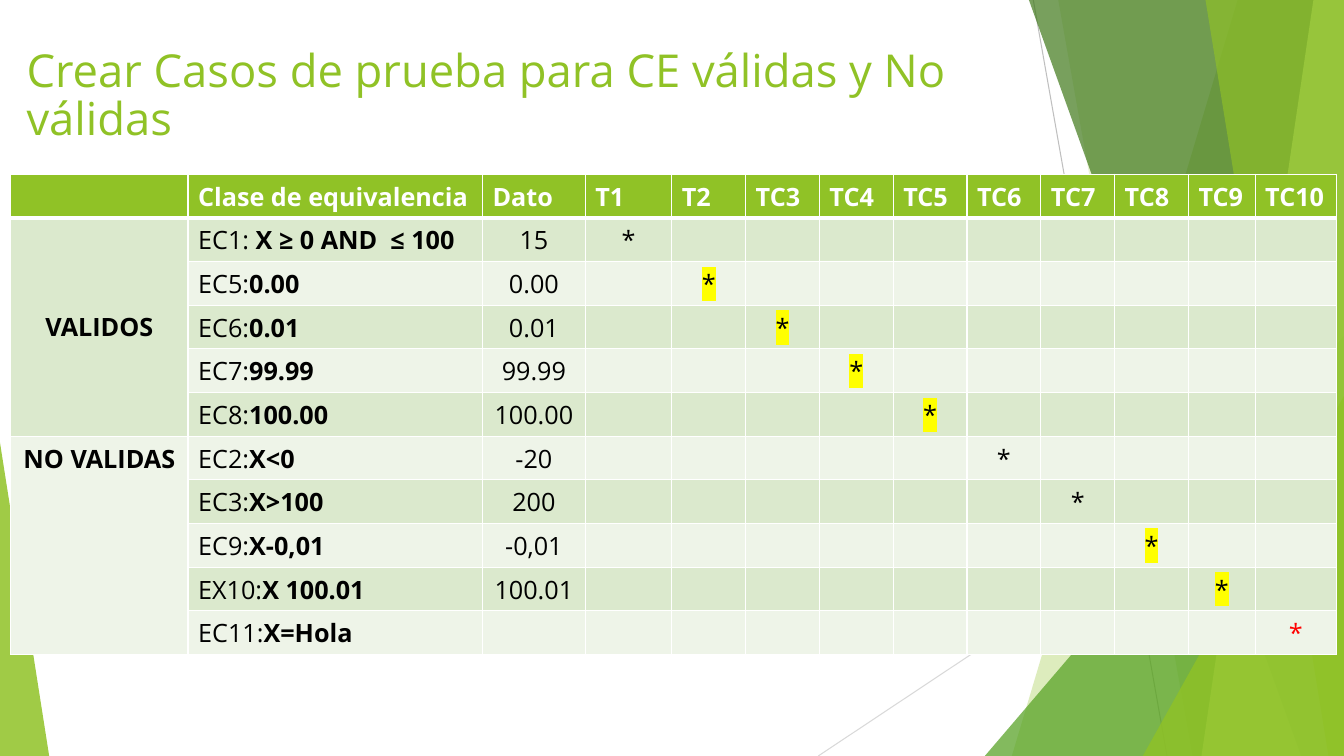
"""Build the slide that maps equivalence classes to test cases."""
from lxml import etree
from pptx import Presentation
from pptx.dml.color import RGBColor
from pptx.enum.shapes import MSO_CONNECTOR as CONN, MSO_SHAPE as SHAPE
from pptx.enum.text import MSO_ANCHOR as ANCHOR, PP_ALIGN as ALIGN
from pptx.oxml.ns import qn
from pptx.util import Cm, Pt

TITLE = "Crear Casos de prueba para CE válidas y No válidas"
HEADERS = ["", "Clase de equivalencia", "Dato", "T1", "T2", "TC3", "TC4",
           "TC5", "TC6", "TC7", "TC8", "TC9", "TC10"]
GROUPS = [("VALIDOS", 5, ANCHOR.MIDDLE), ("NO VALIDAS", 5, ANCHOR.TOP)]
CASES = [
    ("EC1: ", "X ≥ 0 AND  ≤ 100", "15", "plain"),
    ("EC5:", "0.00", "0.00", "marked"),
    ("EC6:", "0.01", "0.01", "marked"),
    ("EC7:", "99.99", "99.99", "marked"),
    ("EC8:", "100.00", "100.00", "marked"),
    ("EC2:", "X<0", "-20", "plain"),
    ("EC3:", "X>100", "200", "plain"),
    ("EC9:", "X-0,01", "-0,01", "marked"),
    ("EX10:", "X 100.01", "100.01", "marked"),
    ("EC11:", "X=Hola", "", "alert"),
]
THEME = dict(font="Open Sans", title=32.4, body=18, green="90C226", white="FFFFFF",
             black="000000", bands=("DBE9CD", "EEF4E8"), highlight="FFFF00",
             alert="FF0000", leaf="54A021", forest="3F7819", lime="C0E474",
             line_dark="BFBFBF", line_light="D9D9D9")
W, H = 33.87, 19.05
COLS = [4.47, 7.42, 2.59, 2.18] + [1.86] * 7 + [1.68, 2.05]
ROW_H = 1.1
LINES = [((26.04, 0), (29.41, H), "line_dark"), ((W, 10.24), (20.62, H), "line_light")]
FACETS = [
    ("poly", [(31.19, 0), (W, 0), (W, H), (25.5, H)], "green", 30),
    ("poly", [(26.67, 0), (W, 0), (W, H), (30.05, H)], "green", 20),
    ("tri", (24.82, 8.46, 9.05, 10.59, 1), "leaf", 72),
    ("poly", [(25.93, 0), (W, 0), (W, H), (32.79, H)], "forest", 70),
    ("poly", [(33.1, 0), (W, 0), (W, H), (30.28, H)], "lime", 70),
    ("poly", [(30.38, 0), (W, 0), (W, H), (33.48, H)], "green", 65),
    ("tri", (28.8, 9.98, 5.07, 9.07, 1), "green", 80),
    ("tri", (0, 11.15, 1.24, 7.9, 0), "green", 85),
]


def rgb(name):
    return RGBColor.from_string(THEME.get(name, name))


def add_run(p, text, size="body", color="black", bold=False, highlight=False):
    r = p.add_run()
    r.text = text
    fmt = dict(size=Pt(THEME[size]), bold=bold, name=THEME["font"])
    for key, value in fmt.items():
        setattr(r.font, key, value)
    r.font.color.rgb = rgb(color)
    if highlight:
        mark = etree.Element(qn("a:highlight"))
        etree.SubElement(mark, qn("a:srgbClr"), val=THEME["highlight"])
        r.font._element.find(qn("a:solidFill")).addnext(mark)


def add_facet(shapes, kind, geometry, color, alpha):
    if kind == "poly":
        points = [(Cm(x), Cm(y)) for x, y in geometry]
        builder = shapes.build_freeform(*points[0])
        builder.add_line_segments(points[1:], close=True)
        sp = builder.convert_to_shape()
    else:
        *box, apex = geometry
        sp = shapes.add_shape(SHAPE.ISOSCELES_TRIANGLE, *map(Cm, box))
        sp.adjustments[0] = apex
    sp.shadow.inherit = False
    sp.line.fill.background()
    sp.fill.solid()
    sp.fill.fore_color.rgb = rgb(color)
    clr = sp._element.spPr.find(qn("a:solidFill")).find(qn("a:srgbClr"))
    etree.SubElement(clr, qn("a:alpha"), val=str(alpha * 1000))


def style_cell(cell, fill, bottom=1):
    tcPr = cell._tc.get_or_add_tcPr()
    for side, width in dict(lnL=1, lnR=1, lnT=1, lnB=bottom).items():
        ln = etree.SubElement(tcPr, qn(f"a:{side}"), w=str(Pt(width)))
        solid = etree.SubElement(ln, qn("a:solidFill"))
        etree.SubElement(solid, qn("a:srgbClr"), val=THEME["white"])
    cell.fill.solid()
    cell.fill.fore_color.rgb = rgb(fill)


def write(cell, *runs, align=ALIGN.CENTER):
    p = cell.text_frame.paragraphs[0]
    p.alignment = align
    for text, fmt in runs:
        if text:
            add_run(p, text, **fmt)


prs = Presentation()
prs.slide_width, prs.slide_height = Cm(W), Cm(H)
s = prs.slides.add_slide(prs.slide_layouts[6])

for start, end, color in LINES:
    cx = s.shapes.add_connector(CONN.STRAIGHT, *map(Cm, start + end))
    cx.line.width = Pt(0.75)
    cx.line.color.rgb = rgb(color)
    etree.SubElement(cx._element.spPr, qn("a:effectLst"))
for facet in FACETS:
    add_facet(s.shapes, *facet)

tf = s.shapes.add_textbox(Cm(0.42), Cm(1.12), Cm(27.13), Cm(2.41)).text_frame
tf.word_wrap = True
tf.paragraphs[0].line_spacing = 0.88
add_run(tf.paragraphs[0], TITLE, "title", "green")

n_rows = len(CASES) + 1
table = s.shapes.add_table(n_rows, len(COLS), Cm(0.27), Cm(4.39),
                           Cm(sum(COLS)), Cm(ROW_H * n_rows)).table
for col, width in zip(table.columns, COLS):
    col.width = Cm(width)
for row in table.rows:
    row.height = Cm(ROW_H)

for c, text in enumerate(HEADERS):
    style_cell(table.cell(0, c), "green", bottom=3)
    write(table.cell(0, c), (text, dict(color="white", bold=True)), align=ALIGN.LEFT)

MARKS = dict(plain={}, marked=dict(highlight=True), alert=dict(color="alert"))
for i, (code, rule, value, mark) in enumerate(CASES):
    r = i + 1
    for c in range(len(COLS)):
        style_cell(table.cell(r, c), THEME["bands"][i % 2])
    write(table.cell(r, 1), (code, {}), (rule, dict(bold=True)), align=ALIGN.LEFT)
    write(table.cell(r, 2), (value, {}))
    write(table.cell(r, 3 + i), ("*", MARKS[mark]))

top = 1
for label, span, anchor in GROUPS:
    cell = table.cell(top, 0)
    cell.merge(table.cell(top + span - 1, 0))
    cell.vertical_anchor = anchor
    write(cell, (label, dict(bold=True)))
    top += span

prs.save("out.pptx")
